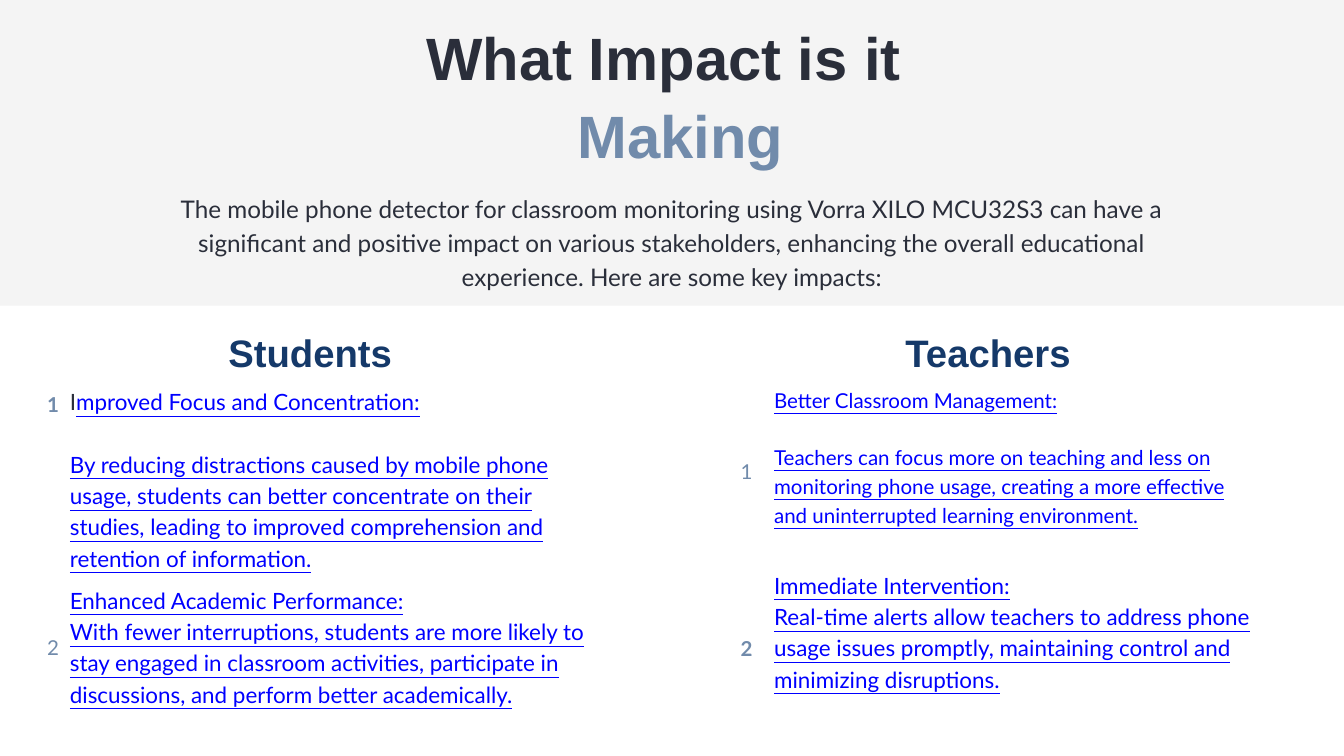
from dataclasses import dataclass

from pptx import Presentation
from pptx import util as u
from pptx.dml.color import RGBColor
from pptx.enum import shapes, text
from pptx.oxml.ns import qn

NO_STYLE = "{2D5ABB26-0587-4C30-8999-92F81FD0307C}"
INSET = 0.2
ROW = 3.94


@dataclass(frozen=True)
class Theme:
    heading_font: str = "Arial"
    body_font: str = "Lato"
    band: str = "F4F4F4"
    dark: str = "2A2E3A"
    accent: str = "718BAB"
    navy: str = "153969"
    link: str = "0000FF"
    title: int = 64
    heading: int = 41
    intro: int = 26
    body: int = 24
    small: int = 22


class Deck:
    """Holds the theme and the current slide."""

    def __init__(self, prs, theme):
        self.theme = theme
        self.slide = prs.slides.add_slide(prs.slide_layouts[6])

    def run(self, p, words, size, color, font=None, bold=False, underline=False):
        r = p.add_run()
        r.text = words
        f = r.font
        f.name = font or self.theme.body_font
        f.size, f.bold, f.underline = u.Pt(size), bold, underline
        f.color.rgb = RGBColor.from_string(color)

    def band(self, x, y, w, h, color):
        sp = self.slide.shapes.add_shape(
            shapes.MSO_SHAPE.RECTANGLE, u.Cm(x), u.Cm(y), u.Cm(w), u.Cm(h))
        sp.shadow.inherit = False
        sp.fill.solid()
        sp.fill.fore_color.rgb = RGBColor.from_string(color)
        sp.line.fill.background()

    def text(self, x, y, w, h, lines, size, spacing, font, bold=False):
        """Centred text; lines is a list of (words, color)."""
        sp = self.slide.shapes.add_textbox(u.Cm(x), u.Cm(y), u.Cm(w), u.Cm(h))
        tf = sp.text_frame
        tf.word_wrap = True
        tf.auto_size = text.MSO_AUTO_SIZE.SHAPE_TO_FIT_TEXT
        tf.margin_left = tf.margin_right = tf.margin_top = tf.margin_bottom = 0
        for i, (words, color) in enumerate(lines):
            p = tf.add_paragraph() if i else tf.paragraphs[0]
            p.alignment = text.PP_ALIGN.CENTER
            p.line_spacing = u.Pt(spacing)
            self.run(p, words, size, color, font, bold)

    def table(self, x, y, widths, heights):
        """Plain two-column table without fills or borders."""
        table = self.slide.shapes.add_table(
            len(heights), len(widths), u.Cm(x), u.Cm(y),
            u.Cm(sum(widths)), u.Cm(sum(heights))).table
        table.first_row = table.horz_banding = False
        table._tbl.tblPr.find(qn("a:tableStyleId")).text = NO_STYLE
        for column, width in zip(table.columns, widths):
            column.width = u.Cm(width)
        for row, height in zip(table.rows, heights):
            row.height = u.Cm(height)
        for cell in table.iter_cells():
            cell.fill.background()
            cell.vertical_anchor = text.MSO_ANCHOR.MIDDLE
            cell.margin_left = cell.margin_right = u.Cm(INSET)
            cell.margin_top = cell.margin_bottom = u.Cm(INSET)
        return table

    def number(self, cell, words, bold):
        p = cell.text_frame.paragraphs[0]
        p.line_spacing = u.Pt(self.theme.small * 1.4)
        self.run(p, words, self.theme.small, self.theme.accent, bold=bold)

    def impact(self, cell, lead, detail, size, initial="", gap=False, raised=False):
        """Lead line and detail; raised lifts the text by half a line."""
        spacing = u.Pt(size * 1.4)
        if raised:
            cell.margin_bottom = u.Cm(INSET) + spacing
            cell.margin_right = u.Cm(2 * INSET)
        tf = cell.text_frame
        p = tf.paragraphs[0]
        p.line_spacing = spacing
        if initial:
            self.run(p, initial, size, self.theme.dark)
        self.run(p, lead, size, self.theme.link, underline=True)
        p = tf.add_paragraph()
        p.line_spacing = spacing
        if gap:
            p.space_before = spacing
        self.run(p, detail, size, self.theme.link, underline=True)


def main():
    prs = Presentation()
    prs.slide_width, prs.slide_height = u.Cm(50.8), u.Cm(28.58)
    th = Theme()
    s = Deck(prs, th)

    # Teachers
    teachers = s.table(27.79, 14.27, (1.27, 18.9), (6.99, 6.3, ROW))
    s.number(teachers.cell(0, 0), "1", bold=False)
    s.impact(teachers.cell(0, 1), "Better Classroom Management:",
             "Teachers can focus more on teaching and less on monitoring phone "
             "usage, creating a more effective and uninterrupted learning "
             "environment.", th.small, gap=True, raised=True)
    s.number(teachers.cell(1, 0), "2", bold=True)
    s.impact(teachers.cell(1, 1), "Immediate Intervention:",
             "Real-time alerts allow teachers to address phone usage issues "
             "promptly, maintaining control and minimizing disruptions.",
             th.body, raised=True)

    # Students
    students = s.table(1.58, 14.31, (0.86, 20.24), (7.5, 5.13, ROW))
    s.impact(students.cell(0, 1), "mproved Focus and Concentration:",
             "By reducing distractions caused by mobile phone usage, students "
             "can better concentrate on their studies, leading to improved "
             "comprehension and retention of information.",
             th.body, initial="I", gap=True)
    s.number(students.cell(1, 0), "2", bold=False)
    s.impact(students.cell(1, 1), "Enhanced Academic Performance:",
             "With fewer interruptions, students are more likely to stay "
             "engaged in classroom activities, participate in discussions, and "
             "perform better academically.", th.body)

    # Header
    s.band(0, 0, 50.8, 11.56, th.band)
    s.text(5.97, 0.58, 38.86, 5.77,
           [("What Impact is it ", th.dark), (" Making", th.accent)],
           th.title, 83.2, th.heading_font, bold=True)
    s.text(5.97, 7.16, 38.86, 5.03,
           [("The mobile phone detector for classroom monitoring using "
             "Vorra XILO MCU32S3 can have a significant and positive impact on "
             "various stakeholders, enhancing the overall educational "
             "experience. Here are some key impacts:", th.dark)],
           th.intro, 36.4, th.body_font)

    # Column headings
    for x, words in ((1.58, " Students"), (27.4, "Teachers")):
        s.text(x, 12.29, 19.9, 1.83, [(words, th.navy)],
               th.heading, 53.3, th.heading_font, bold=True)

    # First student number
    marker = s.table(1.58, 9.3, (0.86, 0.74), (ROW, ROW, ROW))
    s.number(marker.cell(1, 0), "1", bold=True)

    prs.save("out.pptx")


if __name__ == "__main__":
    main()
